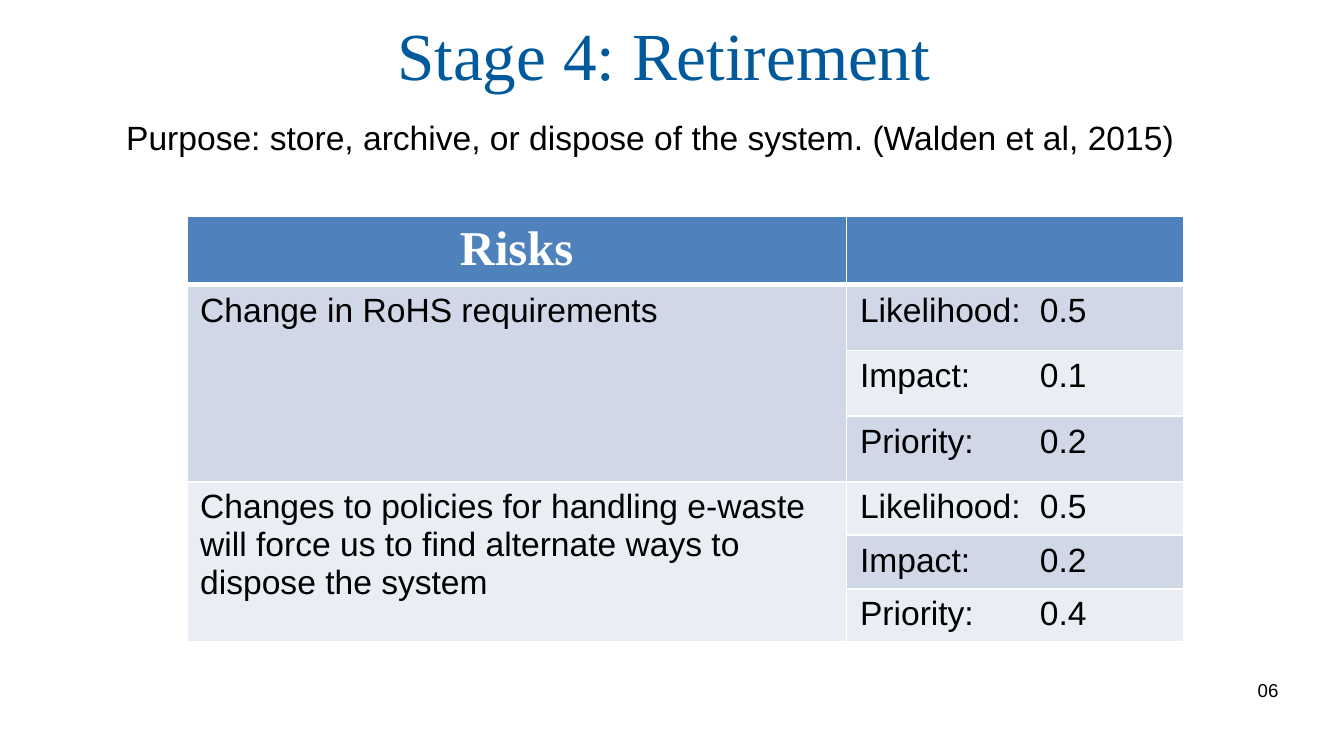
from dataclasses import dataclass

from lxml.etree import SubElement
from pptx import Presentation
from pptx.dml.color import RGBColor
from pptx.enum.text import MSO_ANCHOR, MSO_AUTO_SIZE, PP_ALIGN
from pptx.oxml.ns import qn
from pptx.util import Cm, Pt

SANS, SERIF = "Arial", "Times New Roman"
BLACK, WHITE, BLUE, HEAD = "000000", "FFFFFF", "00599B", "4F81BD"
BANDS = ("D0D8E8", "E9EDF4")
LABELS = ("Likelihood:", "Impact:", "Priority:")
WIDTHS = (12.47, 6.37)
HEAD_HIGH = 1.3
TAB = 3.4


@dataclass
class Risk:
    name: str
    scores: tuple[str, ...]
    high: float


RISKS = (
    Risk("Change in RoHS requirements", ("0.5", "0.1", "0.2"), 1.24),
    Risk("Changes to policies for handling e-waste will force us to find "
         "alternate ways to dispose the system", ("0.5", "0.2", "0.4"), 1.01),
)


def paint(item, color: str) -> None:
    """Give a fill or a font its colour."""
    if hasattr(item, "solid"):
        item.solid()
        item.fore_color.rgb = RGBColor.from_string(color)
    else:
        item.color.rgb = RGBColor.from_string(color)


def write(frame, text: str, color: str = BLACK, align=PP_ALIGN.LEFT, **form):
    """Fill a text frame with one paragraph; form holds font values."""
    para = frame.paragraphs[0]
    para.alignment = align
    para.space_before = Pt(0)
    run = para.add_run()
    run.text = text
    values = {"name": SANS, "size": Pt(18), "bold": False} | form
    for key, value in values.items():
        setattr(run.font, key, value)
    paint(run.font, color)
    return para


def place(shape, left: float, top: float, width: float, high: float) -> None:
    box = {"left": left, "top": top, "width": width, "height": high}
    for key, value in box.items():
        setattr(shape, key, Cm(value))


def edge(cell, base: float) -> None:
    """Draw white borders, the bottom one base points wide."""
    props = cell._tc.get_or_add_tcPr()
    for side, size in zip("LRTB", (1, 1, 1, base)):
        line = SubElement(props, qn(f"a:ln{side}"), w=str(Pt(size)))
        fill = SubElement(line, qn("a:solidFill"))
        SubElement(fill, qn("a:srgbClr"), val=WHITE)


def set_tab(para, stop: float) -> None:
    tabs = SubElement(para._p.get_or_add_pPr(), qn("a:tabLst"))
    SubElement(tabs, qn("a:tab"), pos=str(Cm(stop)), algn="l")


def add_risks(slide, risks: tuple[Risk, ...], left: float, top: float) -> None:
    step = len(LABELS)
    highs = [HEAD_HIGH] + [risk.high for risk in risks for _ in LABELS]
    table = slide.shapes.add_table(
        len(highs), len(WIDTHS), Cm(left), Cm(top),
        Cm(sum(WIDTHS)), Cm(sum(highs))).table
    for col, width in zip(table.columns, WIDTHS):
        col.width = Cm(width)
    for row, high in zip(table.rows, highs):
        row.height = Cm(high)

    for num, row in enumerate(table.rows):
        for cell in row.cells:
            edge(cell, 1 if num else 3)
            paint(cell.fill, BANDS[(num - 1) % 2] if num else HEAD)

    write(table.cell(0, 0).text_frame, "Risks", WHITE, PP_ALIGN.CENTER,
          name=SERIF, size=Pt(26), bold=True)
    for start, risk in zip(range(1, len(highs), step), risks):
        first = table.cell(start, 0)
        first.merge(table.cell(start + step - 1, 0))
        write(first.text_frame, risk.name)
        for num, (label, score) in enumerate(zip(LABELS, risk.scores), start):
            para = write(table.cell(num, 1).text_frame, f"{label}\t{score}")
            set_tab(para, TAB)


def main() -> None:
    deck = Presentation()
    deck.slide_width, deck.slide_height = Cm(25.4), Cm(14.28)
    slide = deck.slides.add_slide(deck.slide_layouts[1])
    title, body = slide.placeholders

    place(title, 1.12, 0.13, 22.86, 1.65)
    place(body, 2.13, 2.08, 21.59, 1.8)
    for shape in (title, body):
        shape.text_frame.vertical_anchor = MSO_ANCHOR.TOP
        shape.text_frame.auto_size = MSO_AUTO_SIZE.NONE
    write(title.text_frame, "Stage 4: Retirement", BLUE, PP_ALIGN.CENTER,
          name=SERIF, size=Pt(36))
    para = write(body.text_frame, "Purpose: store, archive, or dispose of "
                 "the system. (Walden et al, 2015)")
    props = para._p.get_or_add_pPr()
    for key in ("marL", "indent"):
        props.set(key, "0")
    SubElement(props, qn("a:buNone"))

    add_risks(slide, RISKS, 3.53, 4.08)

    page = slide.shapes.add_textbox(Cm(23.52), Cm(12.7), Cm(0.91), Cm(0.69))
    page.text_frame.word_wrap = False
    write(page.text_frame, "06", size=Pt(10))

    deck.save("out.pptx")


if __name__ == "__main__":
    main()
